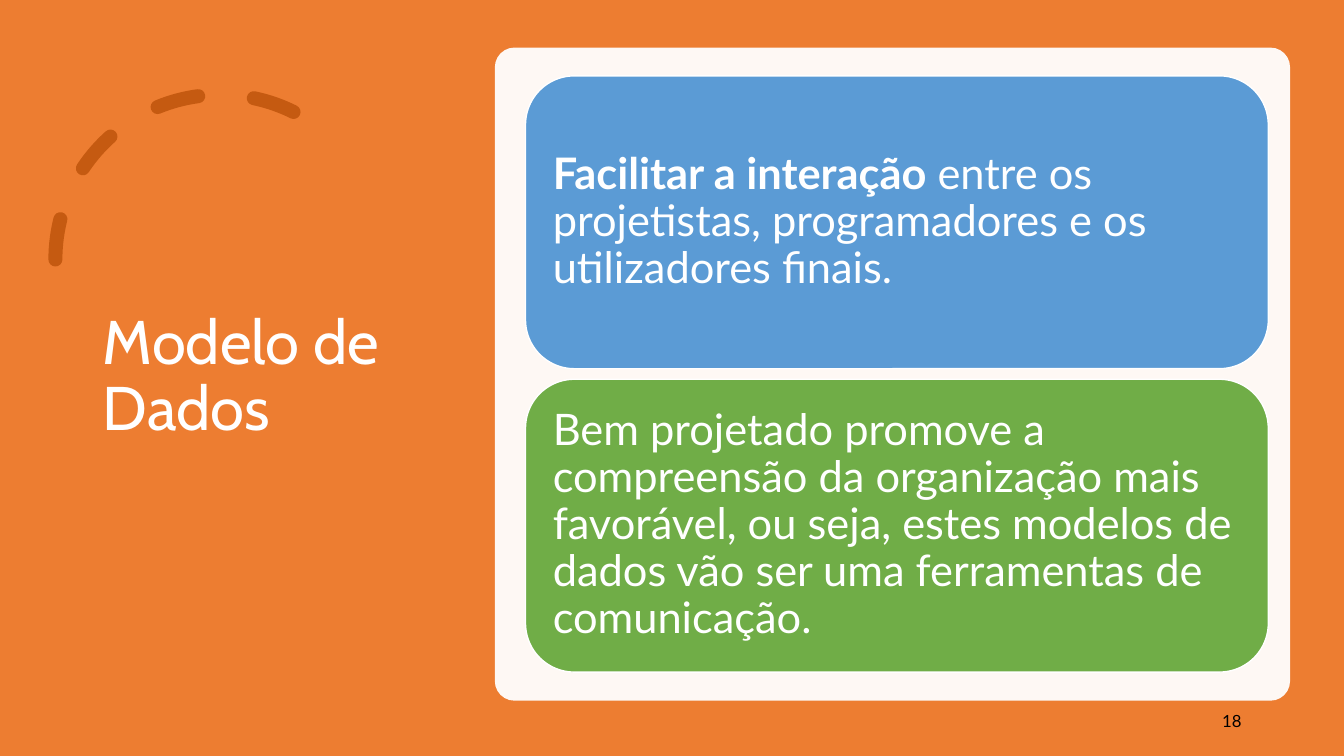
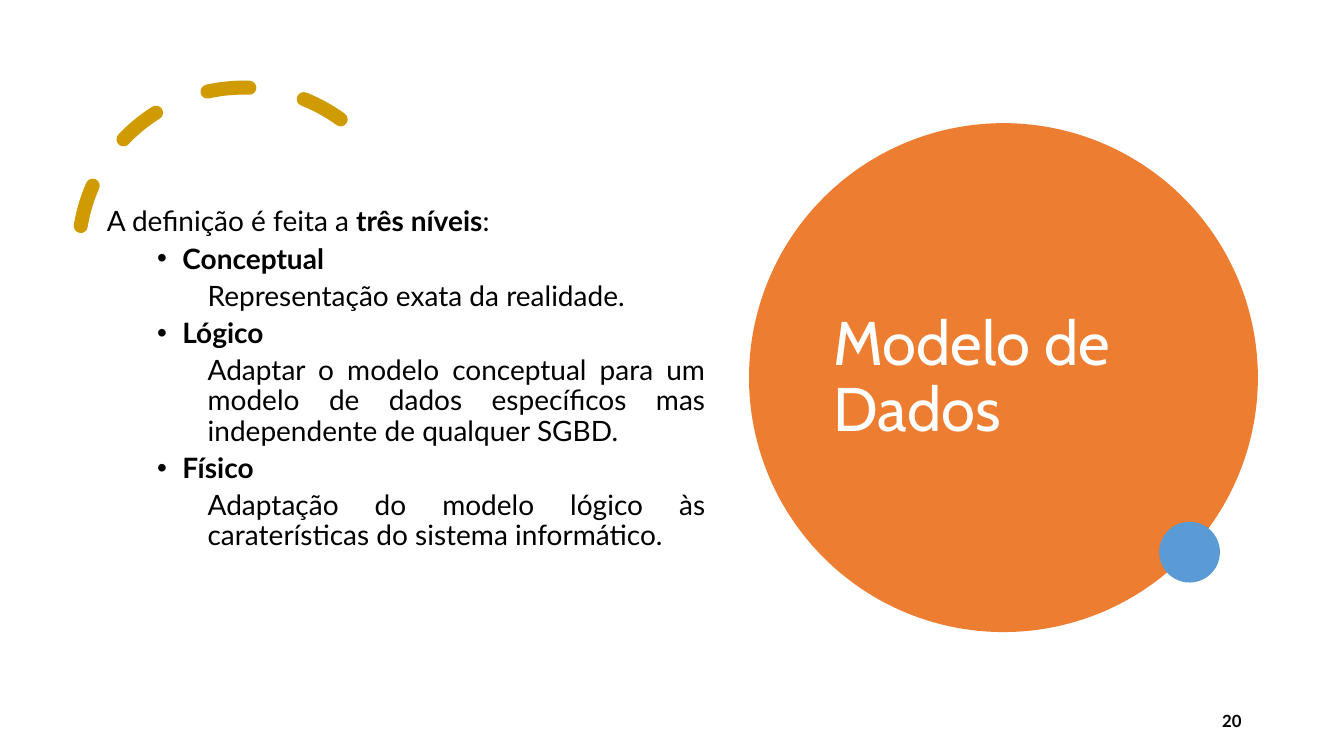
from lxml import etree
from pptx import Presentation
from pptx.dml.color import RGBColor
from pptx.enum.dml import MSO_LINE
from pptx.enum.shapes import MSO_SHAPE
from pptx.enum.text import MSO_ANCHOR, MSO_AUTO_SIZE, PP_ALIGN
from pptx.oxml.ns import qn
from pptx.util import Pt

ARC, ELLIPSE = MSO_SHAPE.ARC, MSO_SHAPE.OVAL
ROUNDED = MSO_SHAPE.ROUNDED_RECTANGLE
DASH = MSO_LINE.DASH
TOP, MIDDLE = MSO_ANCHOR.TOP, MSO_ANCHOR.MIDDLE
LEFT, RIGHT, JUSTIFY = PP_ALIGN.LEFT, PP_ALIGN.RIGHT, PP_ALIGN.JUSTIFY
NO_AUTOFIT = MSO_AUTO_SIZE.NONE

WHITE = RGBColor(0xFF, 0xFF, 0xFF)
BLACK = RGBColor(0, 0, 0)
ORANGE = RGBColor(0xED, 0x7D, 0x31)
DARK_ORANGE = RGBColor(0xC5, 0x5A, 0x11)
GOLD = RGBColor(0xCF, 0x9B, 0x00)
BLUE = RGBColor(0x5B, 0x9B, 0xD5)
GREEN = RGBColor(0x70, 0xAD, 0x47)
TITLE_FONT, BODY_FONT = "Cabin", "Lato"

# Content: spans are (text, bold)
TITLE = "Modelo de Dados"
CARDS = [
    (BLUE, [("Facilitar a interação", True),
            (" entre os projetistas, programadores e os utilizadores finais.", False)]),
    (GREEN, [("Bem projetado promove a compreensão da organização mais favorável, "
              "ou seja, estes modelos de dados vão ser uma ferramentas de "
              "comunicação.", False)]),
]
INTRO = [("A definição é feita a", False), (" três níveis", True), (":", False)]
LEVELS = [
    ("Conceptual", "Representação exata da realidade."),
    ("Lógico", "Adaptar o modelo conceptual para um modelo de dados específicos "
               "mas independente de qualquer SGBD."),
    ("Físico", "Adaptação do modelo lógico às caraterísticas do sistema informático."),
]

# Level: (left margin, first-line indent, bullet)
INDENTS = [(0, 0, None), (54, -18, "•"), (72, 0, None)]


def place(shape, area):
    shape.left, shape.top, shape.width, shape.height = (Pt(n) for n in area)


def write(para, spans, size, color, font=BODY_FONT, align=LEFT, spacing=0.9):
    para.alignment = align
    para.line_spacing = spacing
    for text, bold in spans:
        span = para.add_run()
        span.text = text
        span.font.name, span.font.size, span.font.bold = font, Pt(size), bold
        span.font.color.rgb = color


def prepare(shape, anchor):
    frame = shape.text_frame
    frame.word_wrap = True
    frame.auto_size = NO_AUTOFIT
    frame.vertical_anchor = anchor
    return frame


def add_filled(page, kind, area, color):
    shape = page.shapes.add_shape(kind, *(Pt(n) for n in area))
    shape.shadow.inherit = False
    shape.fill.solid()
    shape.fill.fore_color.rgb = color
    shape.line.fill.background()
    return shape


def add_dashed_arc(page, left, top, color, angles, rotation=0):
    arc = page.shapes.add_shape(ARC, Pt(left), Pt(top), Pt(235.4), Pt(235.4))
    arc.shadow.inherit = False
    arc.fill.background()
    arc.adjustments[0], arc.adjustments[1] = angles
    arc.rotation = rotation
    arc.line.color.rgb = color
    arc.line.width = Pt(10)
    arc.line.dash_style = DASH
    properties = arc._element.spPr
    properties.find(qn("a:xfrm")).set("flipH", "1")
    properties.find(qn("a:ln")).set("cap", "rnd")


def add_title(page, area):
    title = page.shapes.title
    place(title, area)
    write(prepare(title, MIDDLE).paragraphs[0], [(TITLE, False)], 44, WHITE, TITLE_FONT)
    page.shapes._spTree.append(title._element)  # bring to front


def add_page_number(page, number, bold):
    box = page.shapes.add_textbox(Pt(678), Pt(500.5), Pt(216), Pt(28.75))
    write(prepare(box, MIDDLE).paragraphs[0], [(number, bold)], 12, BLACK,
          align=RIGHT, spacing=1)


def add_page(deck, layout, background):
    page = deck.slides.add_slide(deck.slide_layouts[layout])
    page.background.fill.solid()
    page.background.fill.fore_color.rgb = background
    return page


def build_purpose(deck):
    page = add_page(deck, 5, ORANGE)
    add_dashed_arc(page, 39.6, 67.7, DARK_ORANGE, (146.13, 0))
    add_title(page, (66.2, 50.4, 232.6, 438.5))

    # Translucent panel
    panel = add_filled(page, ROUNDED, (353.5, 34, 568, 466.5), WHITE)
    panel.adjustments[0] = 0.03
    color = panel._element.spPr.find(qn("a:solidFill"))[0]
    etree.SubElement(color, qn("a:alpha")).set("val", "95000")

    # Stacked cards
    height, gap = 209.2, 7.5
    for row, (fill, spans) in enumerate(CARDS):
        card = add_filled(page, ROUNDED,
                          (375.4, 54.2 + row * (height + gap), 530.6, height), fill)
        card.line.color.rgb = WHITE
        card.line.width = Pt(1)
        frame = prepare(card, MIDDLE)
        frame.margin_left = frame.margin_right = Pt(9.3)
        frame.margin_top = frame.margin_bottom = Pt(9.3)
        write(frame.paragraphs[0], spans, 31, WHITE)
    add_page_number(page, "18", False)


def build_levels(deck):
    page = add_page(deck, 1, WHITE)
    add_dashed_arc(page, 56.2, 62.6, GOLD, (158.17, 17.81), 29.8)
    add_filled(page, ELLIPSE, (535, 88, 363.5, 363.5), ORANGE)
    add_title(page, (588.2, 110.2, 255, 320.4))

    # Three-level list
    body = page.placeholders[1]
    place(body, (69.1, 144.7, 442, 327.6))
    page.shapes._spTree.append(body._element)
    frame = prepare(body, TOP)
    items = [(0, INTRO)]
    for name, meaning in LEVELS:
        items += [(1, [(name, True)]), (2, [(meaning, False)])]
    for index, (level, spans) in enumerate(items):
        para = frame.add_paragraph() if index else frame.paragraphs[0]
        para.level = level
        margin, indent, bullet = INDENTS[level]
        properties = para._p.get_or_add_pPr()
        properties.set("marL", str(Pt(margin)))
        properties.set("indent", str(Pt(indent)))
        if bullet:
            font = etree.SubElement(properties, qn("a:buFont"))
            font.set("typeface", "Arial")
            etree.SubElement(properties, qn("a:buChar")).set("char", bullet)
        else:
            etree.SubElement(properties, qn("a:buNone"))
        para.space_before = Pt(5 if index else 0)
        write(para, spans, 20, BLACK, align=JUSTIFY)

    add_filled(page, ELLIPSE, (828, 372.7, 43.4, 43.4), BLUE)
    add_page_number(page, "20", True)


def main():
    deck = Presentation()
    deck.slide_width, deck.slide_height = Pt(960), Pt(540)
    build_purpose(deck)
    build_levels(deck)
    deck.save("out.pptx")


if __name__ == "__main__":
    main()
